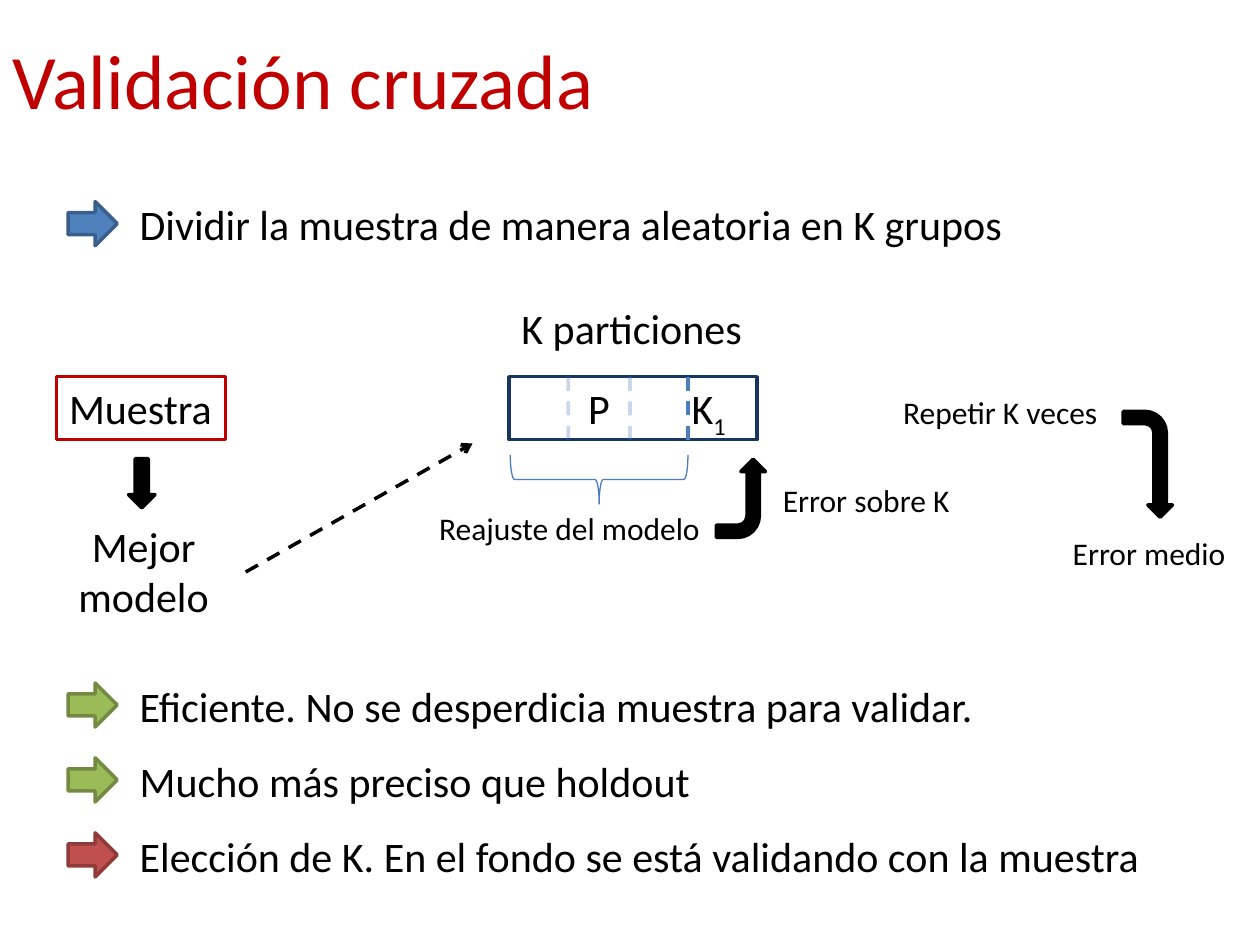
from lxml import etree
from pptx import Presentation
from pptx.dml.color import RGBColor
from pptx.enum.dml import MSO_LINE
from pptx.enum.shapes import MSO_CONNECTOR, MSO_SHAPE
from pptx.enum.text import MSO_ANCHOR, MSO_AUTO_SIZE, PP_ALIGN
from pptx.oxml.ns import qn
from pptx.util import Inches, Pt

LEFT, CENTER = PP_ALIGN.LEFT, PP_ALIGN.CENTER
TOP, NO_FIT = MSO_ANCHOR.TOP, MSO_AUTO_SIZE.NONE
DASH, STRAIGHT = MSO_LINE.DASH, MSO_CONNECTOR.STRAIGHT
RECTANGLE, RIGHT_ARROW = MSO_SHAPE.RECTANGLE, MSO_SHAPE.RIGHT_ARROW
BENT_ARROW, RIGHT_BRACE = MSO_SHAPE.BENT_ARROW, MSO_SHAPE.RIGHT_BRACE

BLACK = RGBColor(0x00, 0x00, 0x00)
CRIMSON = RGBColor(0xC0, 0x00, 0x00)
NAVY = RGBColor(0x17, 0x37, 0x5E)
DIVIDER_BLUE = RGBColor(0x4B, 0x7E, 0xBC)
BLUE, BLUE_EDGE = RGBColor(0x4F, 0x81, 0xBD), RGBColor(0x3A, 0x5F, 0x8C)
GREEN, GREEN_EDGE = RGBColor(0x9B, 0xBB, 0x59), RGBColor(0x73, 0x8A, 0x42)
RED, RED_EDGE = RGBColor(0xC0, 0x50, 0x4D), RGBColor(0x8E, 0x3B, 0x39)


def write_text(shape, text, size=24, color=BLACK, align=LEFT, wrap=True,
               subscript=None, tabs=()):
    """Fill a shape with one formatted paragraph."""
    frame = shape.text_frame
    frame.word_wrap = wrap
    frame.auto_size = NO_FIT
    frame.vertical_anchor = TOP
    para = frame.paragraphs[0]
    para.alignment = align
    if tabs:
        tab_list = etree.SubElement(para._p.get_or_add_pPr(), qn("a:tabLst"))
        for position in tabs:
            etree.SubElement(tab_list, qn("a:tab"),
                             pos=str(Inches(position)), algn="l")
    for part in filter(None, (text, subscript)):
        span = para.add_run()
        span.text = part
        span.font.name = "Calibri"
        span.font.size = Pt(size)
        span.font.color.rgb = color
    if subscript:
        span.font._element.set("baseline", "-25000")


def add_label(page, text, left, top, width, height, **text_format):
    box = page.shapes.add_textbox(Inches(left), Inches(top),
                                  Inches(width), Inches(height))
    write_text(box, text, **text_format)


def add_figure(page, kind, left, top, width, height, line, fill=None,
               line_width=2, rotation=0, flips=()):
    """Add a preset shape; flips lists flipH and flipV."""
    shape = page.shapes.add_shape(kind, Inches(left), Inches(top),
                                  Inches(width), Inches(height))
    shape.shadow.inherit = False
    shape.rotation = rotation
    if fill is None:
        shape.fill.background()
    else:
        shape.fill.solid()
        shape.fill.fore_color.rgb = fill
    shape.line.color.rgb = line
    shape.line.width = Pt(line_width)
    for flip in flips:
        shape._element.spPr.find(qn("a:xfrm")).set(flip, "1")
    return shape


def add_dashed_line(page, start, end, color, opacity=None, arrow=False):
    connector = page.shapes.add_connector(
        STRAIGHT, *(Inches(value) for value in (*start, *end)))
    line = connector.line
    line.color.rgb = color
    line.width = Pt(2)
    line.dash_style = DASH
    properties = connector._element.spPr
    outline = properties.find(qn("a:ln"))
    if opacity is not None:
        shade = outline.find(".//" + qn("a:srgbClr"))
        etree.SubElement(shade, qn("a:alpha"), val=str(opacity * 1000))
    if arrow:
        etree.SubElement(outline, qn("a:tailEnd"), type="arrow")
    etree.SubElement(properties, qn("a:effectLst"))


def add_point(page, text, top, fill, edge):
    """Add a line of text marked by a block arrow."""
    add_label(page, text, 1.01, top, 8.19, 0.5)
    add_figure(page, RIGHT_ARROW, 0.54, top + 0.07, 0.39, 0.35, edge, fill)


def add_title(page, text):
    title = page.shapes.title
    title.left, title.top = Inches(0), Inches(0.21)
    title.width, title.height = Inches(10), Inches(0.84)
    write_text(title, text, size=44, color=CRIMSON)


def add_sample(page):
    sample = add_figure(page, RECTANGLE, 0.45, 2.99, 1.34, 0.5, CRIMSON)
    write_text(sample, "Muestra")
    add_figure(page, RIGHT_ARROW, 0.93, 3.73, 0.39, 0.21, BLACK, BLACK,
               rotation=90)
    add_label(page, "Mejor modelo", 0.47, 4.08, 1.34, 0.91, align=CENTER)
    add_dashed_line(page, (1.95, 4.54), (3.75, 3.52), BLACK, arrow=True)


def add_partitions(page):
    add_label(page, "K particiones", 4.04, 2.35, 1.97, 0.5, wrap=False)
    partitions = add_figure(page, RECTANGLE, 4.04, 2.99, 1.97, 0.5, NAVY)
    write_text(partitions, "\tP\tK", subscript="1", tabs=(0.53, 1.35))
    for x, opacity in ((4.51, 29), (5, 29), (5.46, None)):
        add_dashed_line(page, (x, 2.99), (x, 3.49), DIVIDER_BLUE, opacity)
    add_figure(page, RIGHT_BRACE, 4.56, 3.1, 0.39, 1.41, DIVIDER_BLUE,
               line_width=0.75, rotation=90)
    add_label(page, "Reajuste del modelo", 3.37, 3.99, 2.3, 0.4,
              size=18, align=CENTER)


def add_errors(page):
    add_figure(page, BENT_ARROW, 5.57, 3.76, 0.62, 0.39, BLACK, BLACK,
               rotation=90, flips=("flipH",))
    add_label(page, "Error sobre K", 5.79, 3.77, 2.17, 0.4,
              size=18, align=CENTER)
    add_label(page, "Repetir K veces", 7.07, 3.07, 2.17, 0.4, size=18)
    add_figure(page, BENT_ARROW, 8.69, 3.49, 0.84, 0.39, BLACK, BLACK,
               rotation=270, flips=("flipH", "flipV"))
    add_label(page, "Error medio", 8.39, 4.19, 1.46, 0.4,
              size=18, align=CENTER)


def main():
    deck = Presentation()
    deck.slide_width, deck.slide_height = Inches(10), Inches(7.5)
    page = deck.slides.add_slide(deck.slide_layouts[5])

    # Title and first step
    add_title(page, "Validación cruzada")
    add_point(page, "Dividir la muestra de manera aleatoria en K grupos",
              1.53, BLUE, BLUE_EDGE)

    # Diagram, from left to right
    add_sample(page)
    add_partitions(page)
    add_errors(page)

    # Advantages and drawback
    points = (
        ("Eficiente. No se desperdicia muestra para validar.",
         GREEN, GREEN_EDGE),
        ("Mucho más preciso que holdout", GREEN, GREEN_EDGE),
        ("Elección de K. En el fondo se está validando con la muestra",
         RED, RED_EDGE),
    )
    for index, (text, fill, edge) in enumerate(points):
        add_point(page, text, 5.35 + 0.595 * index, fill, edge)

    deck.save("out.pptx")


if __name__ == "__main__":
    main()
